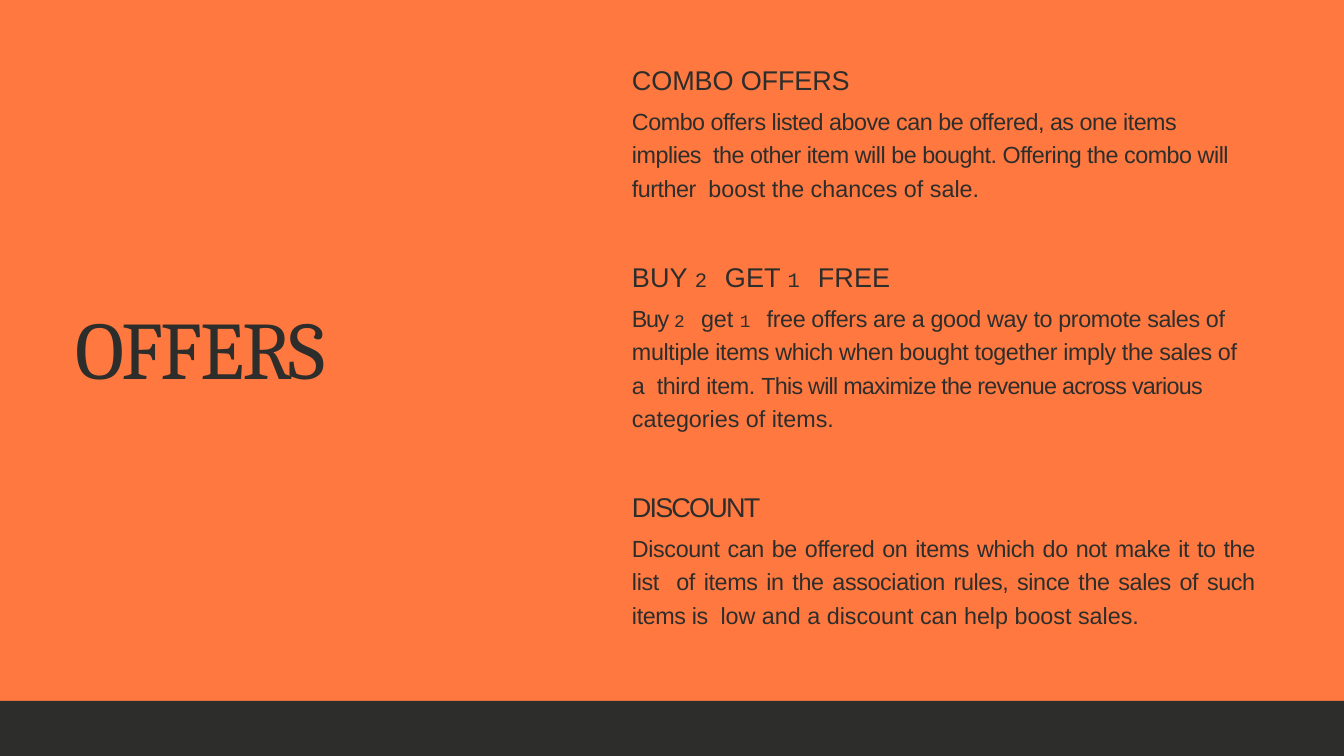
from pptx import Presentation
from pptx.dml.color import RGBColor
from pptx.enum.shapes import MSO_SHAPE
from pptx.enum.text import MSO_ANCHOR, MSO_AUTO_SIZE, PP_ALIGN
from pptx.oxml.ns import qn
from pptx.util import Pt

RECTANGLE = MSO_SHAPE.RECTANGLE
TOP = MSO_ANCHOR.TOP
GROW = MSO_AUTO_SIZE.SHAPE_TO_FIT_TEXT
LEFT, JUSTIFY = PP_ALIGN.LEFT, PP_ALIGN.JUSTIFY
SCALE = 914400 / 67.2
COLORS = {"orange": "FF7840", "charcoal": "2D2E2B"}
PAGE_WIDTH, PAGE_HEIGHT, FOOTER_HEIGHT = 1344, 756, 55
TEXT_LEFT, BODY_LEFT = 631, 103
NAME_SIZE, NAME_DIGIT_SIZE = 29, 22
DESCRIPTION_SIZE, DESCRIPTION_DIGIT_SIZE = 25, 19


def px(value):
    return round(value * SCALE)


def add_span(para, text, *, size, spacing=0, font="Arial"):
    span = para.add_run()
    span.text = text
    span.font.size = Pt(size)
    span.font.name = font
    span.font.color.rgb = RGBColor.from_string(COLORS["charcoal"])
    span.font._element.set("spc", str(round(spacing * 100)))


deck = Presentation()
deck.slide_width, deck.slide_height = px(PAGE_WIDTH), px(PAGE_HEIGHT)
page = deck.slides.add_slide(deck.slide_layouts[1])
title, body = page.placeholders[0], page.placeholders[1]

footer_top = PAGE_HEIGHT - FOOTER_HEIGHT
for top, height, color in [
    (0, PAGE_HEIGHT, "orange"),
    (footer_top, FOOTER_HEIGHT, "charcoal"),
]:
    band = page.shapes.add_shape(RECTANGLE, 0, px(top), px(PAGE_WIDTH), px(height))
    band.shadow.inherit = False
    band.fill.solid()
    band.fill.fore_color.rgb = RGBColor.from_string(COLORS[color])
    band.line.fill.background()
    title._element.addprevious(band._element)

combo = page.shapes.add_textbox(0, 0, 0, 0)
discount = page.shapes.add_textbox(0, 0, 0, 0)

for box, left, top, width, height, inset in [
    (title, 75, 297, 304, 100, 1),
    (combo, TEXT_LEFT, 49, 610, 154, 14),
    (body, BODY_LEFT, 246, 1138, 187, 14),
    (discount, TEXT_LEFT, 476, 624, 154, 14),
]:
    box.left, box.top = px(left), px(top)
    box.width, box.height = px(width), px(height)
    frame = box.text_frame
    frame.word_wrap = True
    frame.auto_size = GROW
    frame.vertical_anchor = TOP
    frame.margin_left = frame.margin_right = frame.margin_bottom = 0
    frame.margin_top = px(inset)

heading = title.text_frame.paragraphs[0]
heading.alignment = LEFT
add_span(heading, "OFFERS", size=87.5, spacing=-2.4, font="Cambria")

offers = [
    {
        "box": combo, "indent": 1, "alignment": LEFT,
        "name": [("COMBO OFFERS", -0.2)],
        "description": [
            ("Combo offers listed above can be offered, as one items implies  the other "
             "item will be bought. Offering the combo will further  ", -0.5),
            ("boost the chances of sale.", 0),
        ],
    },
    {
        "box": body, "indent": TEXT_LEFT + 1 - BODY_LEFT, "alignment": LEFT,
        "name": [("BUY ", 0), ("2 ", 3), ("GET ", 0), ("1 ", 3), ("FREE", 0)],
        "description": [
            ("Buy ", -1.6), ("2 ", 3), ("get ", 0), ("1 ", 3),
            ("free offers are a good way to promote sales of  multiple items which when "
             "bought together imply the sales of a  third item. ", -0.4),
            ("This will maximize the revenue across various  ", -0.8),
            ("categories of items.", 0),
        ],
    },
    {
        "box": discount, "indent": 1, "alignment": JUSTIFY,
        "name": [("DISCOUNT", -2)],
        "description": [
            ("Discount can be offered on items which do not make it to the list  of items "
             "in the association rules, since the sales of such items is  ", -0.4),
            ("low and a discount can help boost sales.", 0),
        ],
    },
]

for offer in offers:
    frame = offer["box"].text_frame
    name, description = frame.paragraphs[0], frame.add_paragraph()
    name.alignment, description.alignment = LEFT, offer["alignment"]
    name.space_before, description.space_before = Pt(0), Pt(6.2)
    name.line_spacing, description.line_spacing = 1.0, 1.2
    for para, spans, letter_size, digit_size in [
        (name, offer["name"], NAME_SIZE, NAME_DIGIT_SIZE),
        (description, offer["description"], DESCRIPTION_SIZE, DESCRIPTION_DIGIT_SIZE),
    ]:
        settings = para._p.get_or_add_pPr()
        settings.set("marL", str(px(offer["indent"])))
        settings.set("indent", "0")
        settings.append(settings.makeelement(qn("a:buNone"), {}))
        for text, spacing in spans:
            if text.strip().isdigit():
                add_span(para, text, size=digit_size, spacing=spacing, font="Courier New")
            else:
                add_span(para, text, size=letter_size, spacing=spacing)

deck.save("out.pptx")
